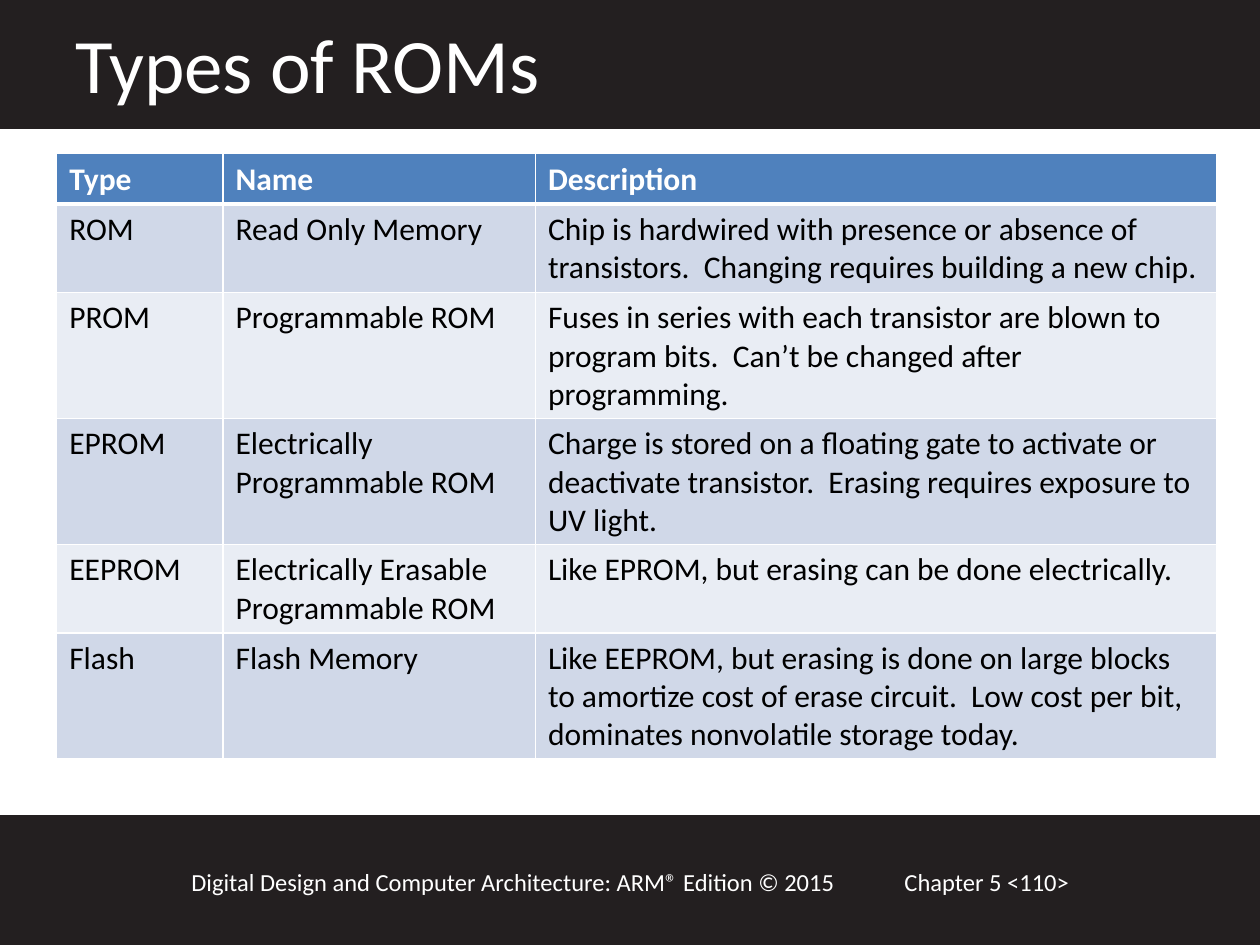
import dataclasses

import pptx
import pptx.dml.color
import pptx.enum.shapes
import pptx.oxml
import pptx.oxml.ns
import pptx.util

Inches = pptx.util.Inches
Pt = pptx.util.Pt


def rgb(value):
    return pptx.dml.color.RGBColor.from_string(value)


@dataclasses.dataclass(frozen=True)
class Theme:
    font: str = "Calibri"
    bar: str = "231F20"
    white: str = "FFFFFF"
    black: str = "000000"
    header: str = "4F81BD"
    bands: tuple = ("D0D8E8", "E9EDF4")
    title_size: int = 44
    table_size: int = 18
    footer_size: int = 14
    rule: int = 1
    header_rule: int = 3


THEME = Theme()
SLIDE_W, SLIDE_H = 10, 7.5
COLUMNS = (1.32, 2.48, 5.41)
ROW_HEIGHTS = (0.4, 0.7, 1, 1, 0.7, 1)
ROWS = (
    ("Type", "Name", "Description"),
    ("ROM", "Read Only Memory",
     "Chip is hardwired with presence or absence of transistors.  "
     "Changing requires building a new chip."),
    ("PROM", "Programmable ROM",
     "Fuses in series with each transistor are blown to program bits.  "
     "Can’t be changed after programming."),
    ("EPROM", "Electrically Programmable ROM",
     "Charge is stored on a floating gate to activate or deactivate transistor.  "
     "Erasing requires exposure to UV light."),
    ("EEPROM", "Electrically Erasable Programmable ROM",
     "Like EPROM, but erasing can be done electrically."),
    ("Flash", "Flash Memory",
     "Like EEPROM, but erasing is done on large blocks to amortize cost of erase "
     "circuit.  Low cost per bit, dominates nonvolatile storage today."),
)


def write(tf, text, size, color, bold=False):
    r = tf.paragraphs[0].add_run()
    r.text = text
    formats = {"name": THEME.font, "size": Pt(size), "bold": bold}
    for name, value in formats.items():
        setattr(r.font, name, value)
    r.font.color.rgb = rgb(color)


def add_bar(s, top, height):
    sp = s.shapes.add_shape(pptx.enum.shapes.MSO_SHAPE.RECTANGLE,
                            0, Inches(top), Inches(SLIDE_W), Inches(height))
    sp.shadow.inherit = False
    sp.fill.solid()
    sp.fill.fore_color.rgb = rgb(THEME.bar)
    sp.line.color.rgb = rgb(THEME.bar)
    sp.line.width = Pt(2)


def add_text(s, box, text, size):
    sp = s.shapes.add_textbox(*map(Inches, box))
    sp.text_frame.word_wrap = True
    write(sp.text_frame, text, size, THEME.white)


def set_borders(cell, widths):
    """Draw white cell borders; widths maps a side (L, R, T, B) to points."""
    tc_pr = cell._tc.get_or_add_tcPr()
    for side, width in widths.items():
        tc_pr.append(pptx.oxml.parse_xml(
            f'<a:ln{side} {pptx.oxml.ns.nsdecls("a")} w="{Pt(width)}">'
            f'<a:solidFill><a:srgbClr val="{THEME.white}"/></a:solidFill>'
            f'</a:ln{side}>'))


def add_rom_table(s):
    table = s.shapes.add_table(
        len(ROWS), len(COLUMNS), Inches(0.45), Inches(1.22),
        Inches(sum(COLUMNS)), Inches(sum(ROW_HEIGHTS))).table
    for column, width in zip(table.columns, COLUMNS):
        column.width = Inches(width)
    for i, (row, height, texts) in enumerate(zip(table.rows, ROW_HEIGHTS, ROWS)):
        row.height = Inches(height)
        is_header = i == 0
        fill = THEME.header if is_header else THEME.bands[(i - 1) % 2]
        color = THEME.white if is_header else THEME.black
        borders = dict.fromkeys("LRTB", THEME.rule)
        if i < 2:
            borders["B" if is_header else "T"] = THEME.header_rule
        for cell, text in zip(row.cells, texts):
            set_borders(cell, borders)
            cell.fill.solid()
            cell.fill.fore_color.rgb = rgb(fill)
            write(cell.text_frame, text, THEME.table_size, color, is_header)


def main():
    prs = pptx.Presentation()
    prs.slide_width, prs.slide_height = Inches(SLIDE_W), Inches(SLIDE_H)
    s = prs.slides.add_slide(prs.slide_layouts[6])
    add_bar(s, 6.48, 1.02)
    add_bar(s, 0, 1.01)
    add_text(s, (7.08, 6.83, 2.17, 0.34), "Chapter 5 <110>", THEME.footer_size)
    add_text(s, (1.42, 6.83, 5.75, 0.34),
             "Digital Design and Computer Architecture: ARM® Edition © 2015",
             THEME.footer_size)
    add_text(s, (0.5, 0.08, 8.67, 0.84), "Types of ROMs", THEME.title_size)
    add_rom_table(s)
    prs.save("out.pptx")


if __name__ == "__main__":
    main()
